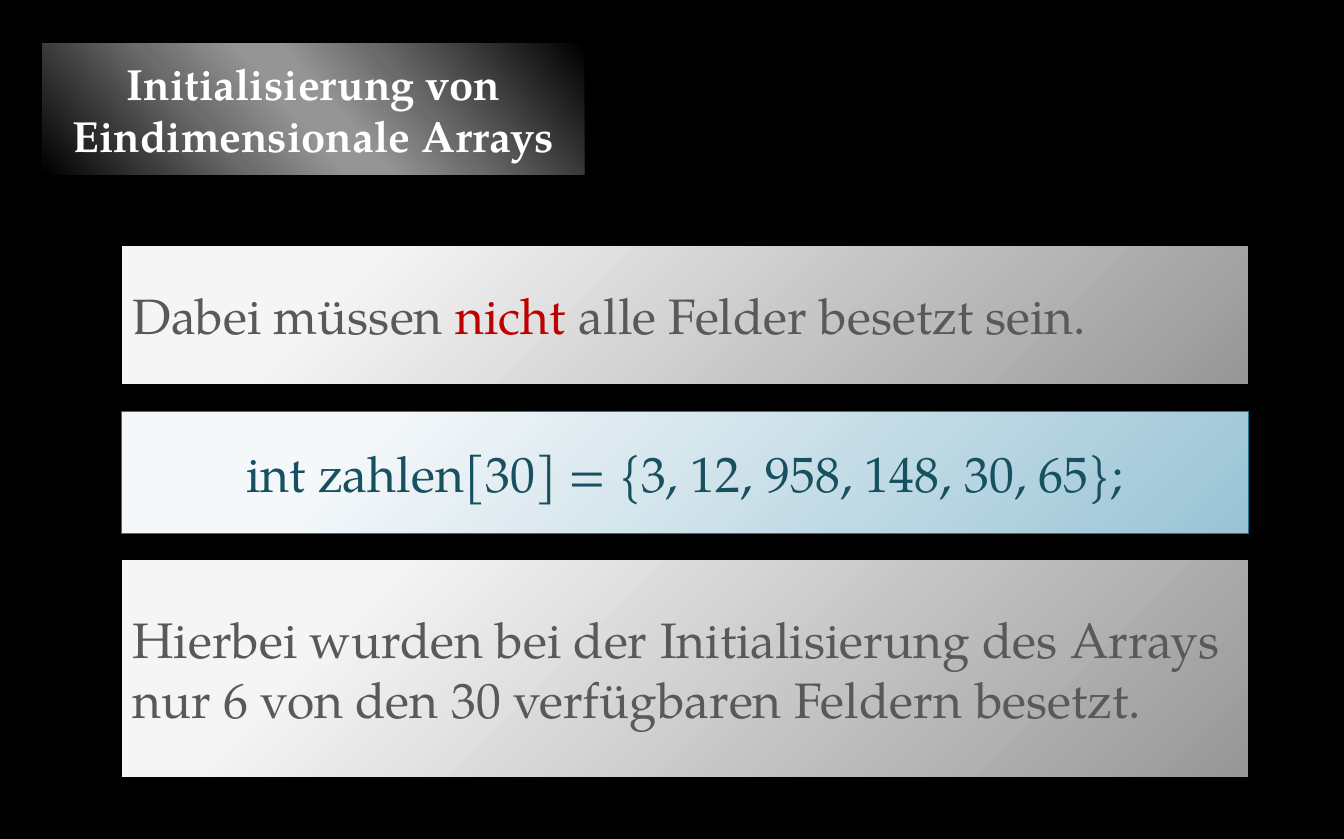
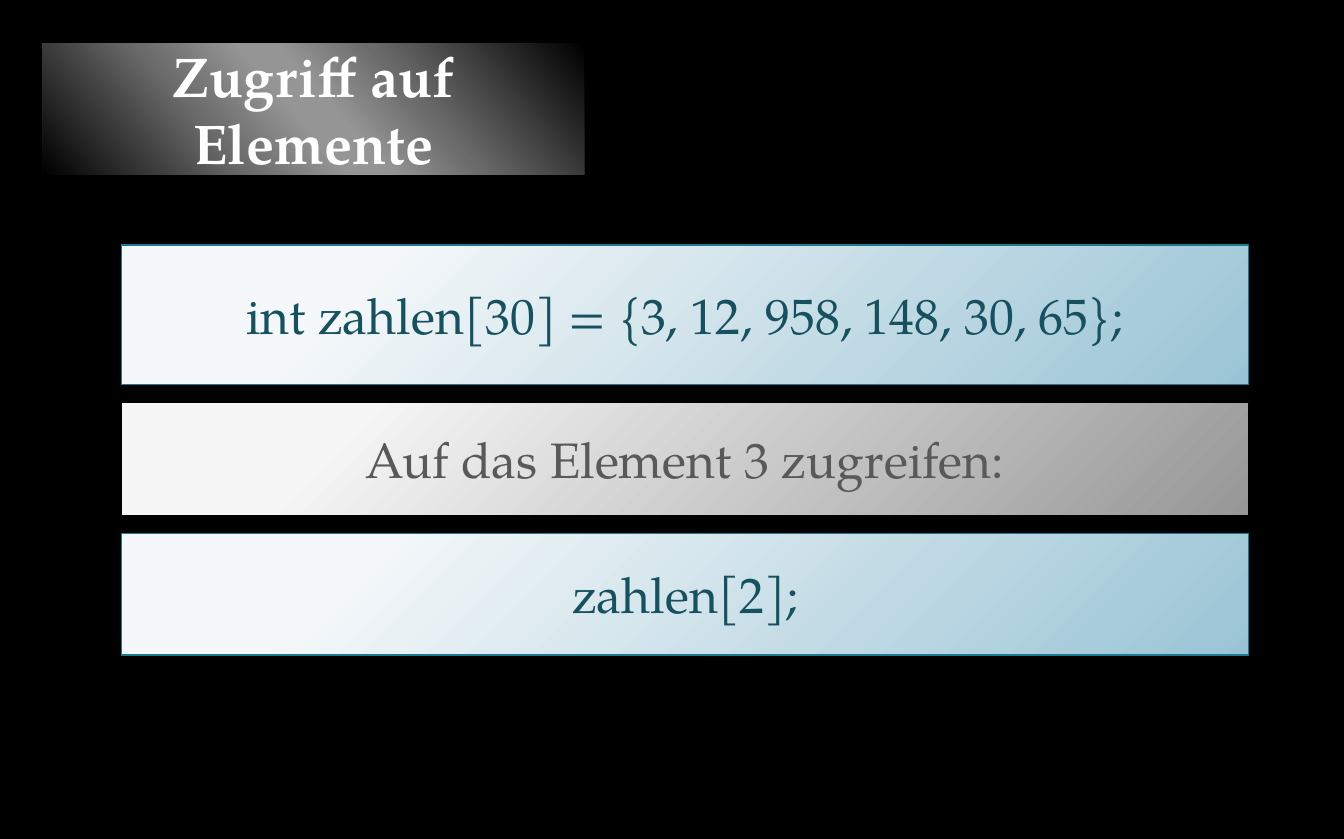
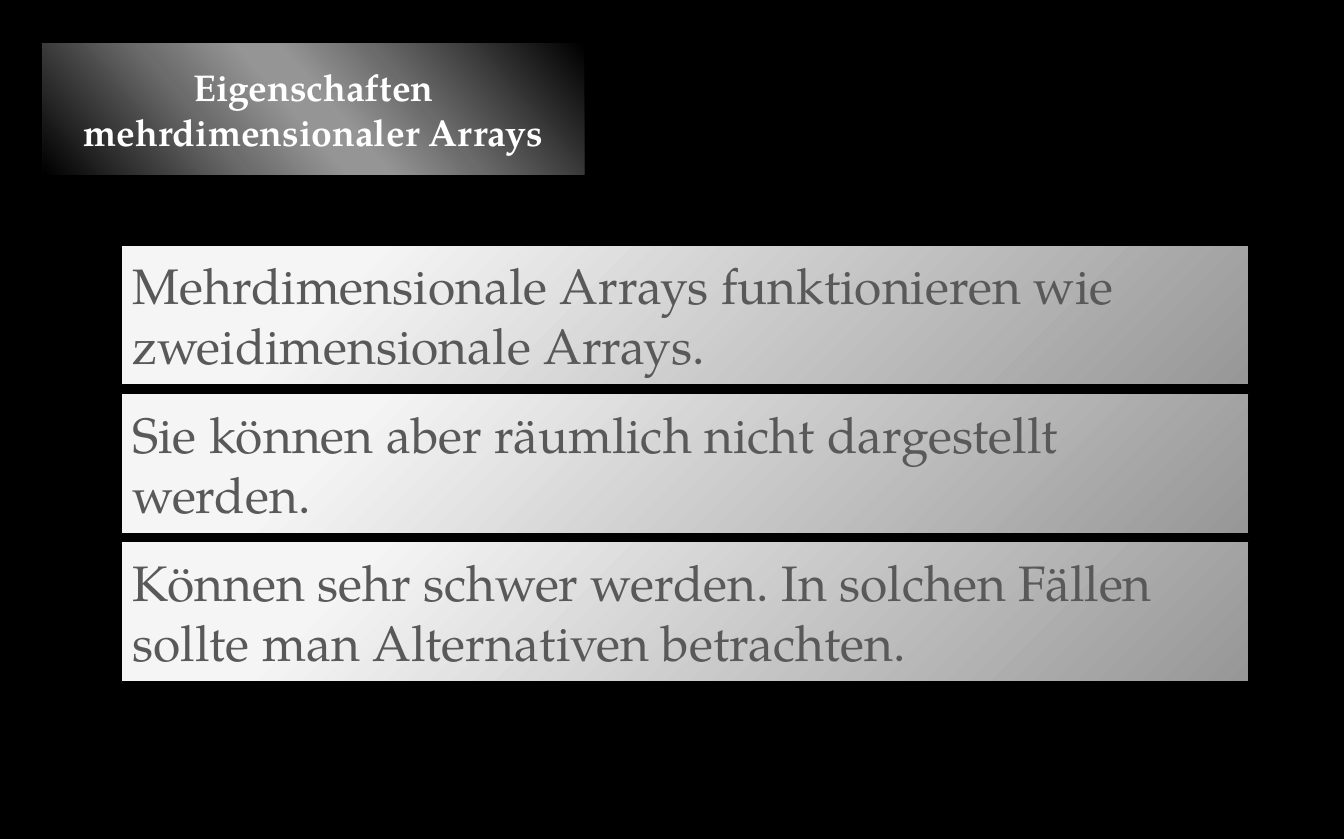
from dataclasses import dataclass

from lxml import etree
from pptx import Presentation
from pptx import util as u
from pptx.dml.color import RGBColor
from pptx.enum import shapes, text
from pptx.oxml.ns import qn


@dataclass(frozen=True)
class PanelStyle:
    """Colours of one kind of panel."""
    stops: tuple
    line: str
    ink: str


@dataclass(frozen=True)
class Theme:
    """Colours, type sizes and effects shared by all slides."""
    font: str = "TeX Gyre Pagella"
    background: str = "000000"
    title_ink: str = "FFFFFF"
    highlight: str = "C00000"
    body_size: float = 32
    title_stops: tuple = ((0, "000000"), (33, "6B6B6B"), (47, "959595"),
                          (53, "959595"), (68, "6C6C6C"), (100, "000000"))
    title_angle: int = 139
    title_shadow: tuple = (26, 15, 18)
    panel_shadow: tuple = (35, 10.2, 8)
    prose: PanelStyle = PanelStyle(((20, "F5F5F5"), (100, "979797")), "000000", "595959")
    code: PanelStyle = PanelStyle(((20, "F5F8FA"), (100, "9AC4D5")), "1B7990", "175160")


@dataclass(frozen=True)
class Box:
    """A rectangle in points."""
    left: float
    top: float
    width: float
    height: float


THEME = Theme()
SLIDE_SIZE = (864.72, 540)
TITLE_BOX = Box(27.4, 28.1, 348.5, 84.2)
STACK_BOX = Box(78.2, 157.7, 725.2, 343)
LEFT, CENTER = text.PP_ALIGN.LEFT, text.PP_ALIGN.CENTER
DECLARATION = "int zahlen[30] = {3, 12, 958, 148, 30, 65};"


def add_element(parent, tag, **attributes):
    """Append a drawing element with the given attributes."""
    return etree.SubElement(parent, qn(tag), {name: str(value) for name, value in attributes.items()})


def add_color(parent, color, alpha=100):
    """Append a colour, with its opacity in percent."""
    element = add_element(parent, "a:srgbClr", val=color)
    if alpha < 100:
        add_element(element, "a:alpha", val=alpha * 1000)


def fill_gradient(shape, stops, angle=None):
    """Fill with a linear gradient at an angle, or else a circular one."""
    shape.fill.gradient()
    gradient = shape.element.spPr.find(qn("a:gradFill"))
    for child in list(gradient):
        gradient.remove(child)
    stop_list = add_element(gradient, "a:gsLst")
    for position, color in stops:
        add_color(add_element(stop_list, "a:gs", pos=position * 1000), color)
    if angle is not None:
        add_element(gradient, "a:lin", ang=angle * 60000, scaled=0)
    else:
        circle = add_element(gradient, "a:path", path="circle")
        add_element(circle, "a:fillToRect", l=-15000, t=-15000, r=115000, b=115000)


def add_shadow(shape, alpha, blur, distance):
    """Cast a soft black shadow to the lower right."""
    shape.shadow.inherit = False
    effects = shape.element.spPr.find(qn("a:effectLst"))
    shadow = add_element(effects, "a:outerShdw", blurRad=int(u.Pt(blur)), dist=int(u.Pt(distance)),
                         dir=45 * 60000, algn="tl", rotWithShape=0)
    add_color(shadow, "000000", alpha)


def place(shape, box):
    """Move and size a shape to fit a box."""
    shape.left, shape.top = u.Pt(box.left), u.Pt(box.top)
    shape.width, shape.height = u.Pt(box.width), u.Pt(box.height)


def write(shape, content, *, size, color, bold=False, align=LEFT):
    """Write a string, or (text, colour) runs, vertically centred."""
    frame = shape.text_frame
    frame.word_wrap = True
    frame.auto_size = text.MSO_AUTO_SIZE.NONE
    frame.vertical_anchor = text.MSO_ANCHOR.MIDDLE
    paragraph = frame.paragraphs[0]
    paragraph.alignment = align
    runs = [(content, color)] if isinstance(content, str) else content
    for words, ink in runs:
        run = paragraph.add_run()
        run.text = words
        run.font.name = THEME.font
        run.font.size = u.Pt(size)
        run.font.bold = bold
        run.font.color.rgb = RGBColor.from_string(ink)


def add_title(slide, box, words, size):
    """Turn the title placeholder into a rounded gradient badge."""
    title = slide.shapes.title
    place(title, box)
    geometry = etree.Element(qn("a:prstGeom"), prst="roundRect")
    add_element(geometry, "a:avLst")
    title.element.spPr.insert(1, geometry)
    fill_gradient(title, THEME.title_stops, THEME.title_angle)
    title.line.fill.background()
    add_shadow(title, *THEME.title_shadow)
    write(title, words, size=size, color=THEME.title_ink, bold=True, align=CENTER)


def add_panel(slide, box, content, style, align):
    """Add one gradient panel with its text."""
    panel = slide.shapes.add_shape(shapes.MSO_SHAPE.RECTANGLE, 0, 0, 0, 0)
    place(panel, box)
    fill_gradient(panel, style.stops)
    panel.line.color.rgb = RGBColor.from_string(style.line)
    panel.line.width = u.Pt(0.75)
    add_shadow(panel, *THEME.panel_shadow)
    write(panel, content, size=THEME.body_size, color=style.ink, align=align)


def add_stack(slide, box, gap, panels):
    """Stack panels from the top of a box with equal gaps."""
    top = box.top
    for height, content, style, align in panels:
        add_panel(slide, Box(box.left, top, box.width, height), content, style, align)
        top += height + gap


def add_panel_slide(presentation, title, title_size, gap, panels):
    """Add a slide with a title badge above a stack of panels."""
    slide = presentation.slides.add_slide(presentation.slide_layouts.get_by_name("Title Only"))
    add_title(slide, TITLE_BOX, title, title_size)
    add_stack(slide, STACK_BOX, gap, panels)


def main():
    """Build and save the presentation."""
    presentation = Presentation()
    presentation.slide_width, presentation.slide_height = map(u.Pt, SLIDE_SIZE)
    background = presentation.slide_master.background.fill
    background.solid()
    background.fore_color.rgb = RGBColor.from_string(THEME.background)

    prose, code = THEME.prose, THEME.code
    partly_filled = [("Dabei müssen ", prose.ink), ("nicht", THEME.highlight),
                     (" alle Felder besetzt sein.", prose.ink)]
    add_panel_slide(presentation, "Initialisierung von Eindimensionale Arrays", 28, 17, [
        (90, partly_filled, prose, LEFT),
        (78.5, DECLARATION, code, CENTER),
        (140.4, "Hierbei wurden bei der Initialisierung des Arrays nur 6 von den 30 "
                "verfügbaren Feldern besetzt.", prose, LEFT),
    ])
    add_panel_slide(presentation, "Zugriff auf Elemente", 36, 11, [
        (90, DECLARATION, code, CENTER),
        (73.4, "Auf das Element 3 zugreifen:", prose, CENTER),
        (78.5, "zahlen[2];", code, CENTER),
    ])
    properties = [
        "Mehrdimensionale Arrays funktionieren wie zweidimensionale Arrays.",
        "Sie können aber räumlich nicht dargestellt werden.",
        "Können sehr schwer werden. In solchen Fällen sollte man Alternativen betrachten.",
    ]
    add_panel_slide(presentation, "Eigenschaften mehrdimensionaler Arrays", 24, 5.5,
                    [(90, words, prose, LEFT) for words in properties])
    presentation.save("out.pptx")


main()
